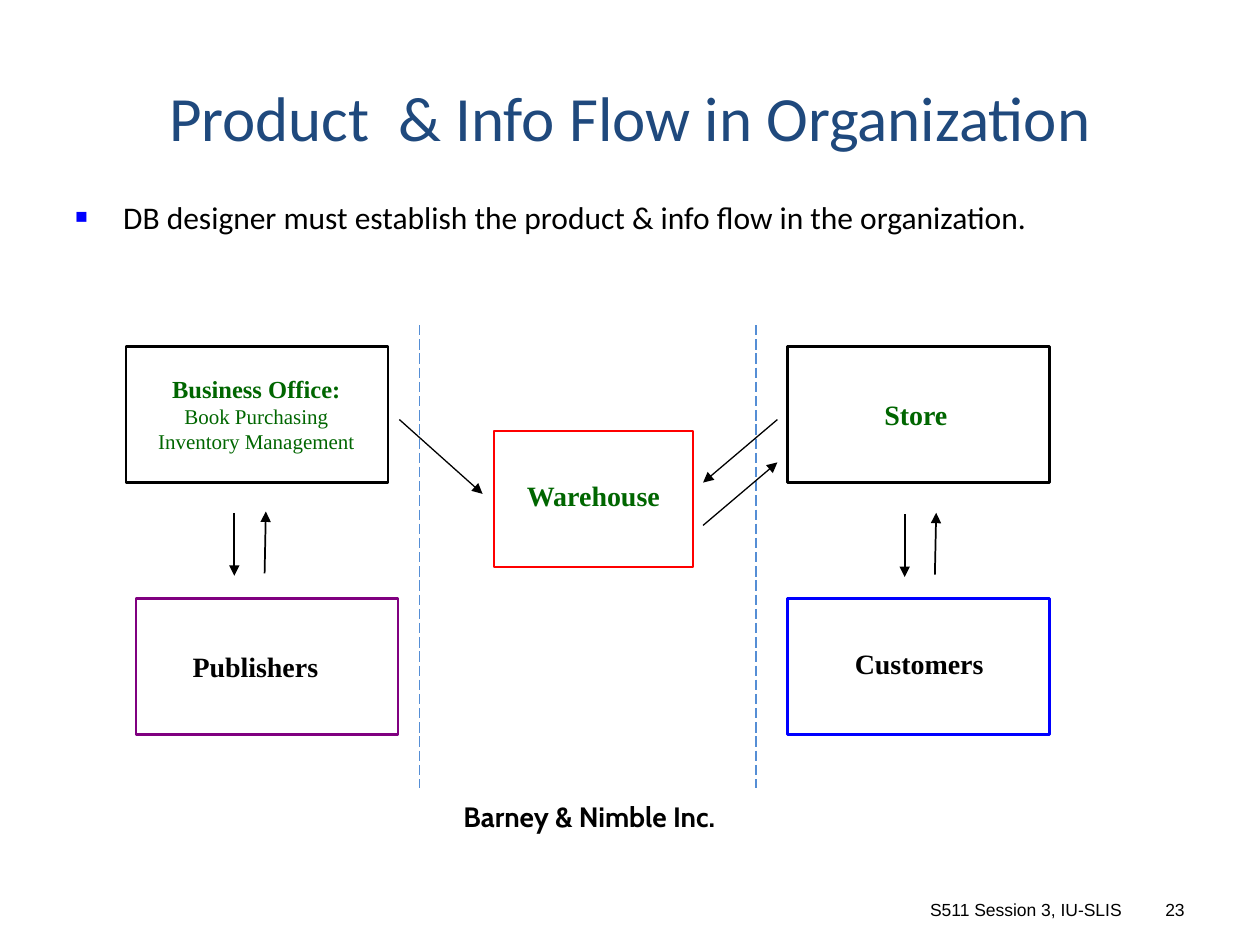
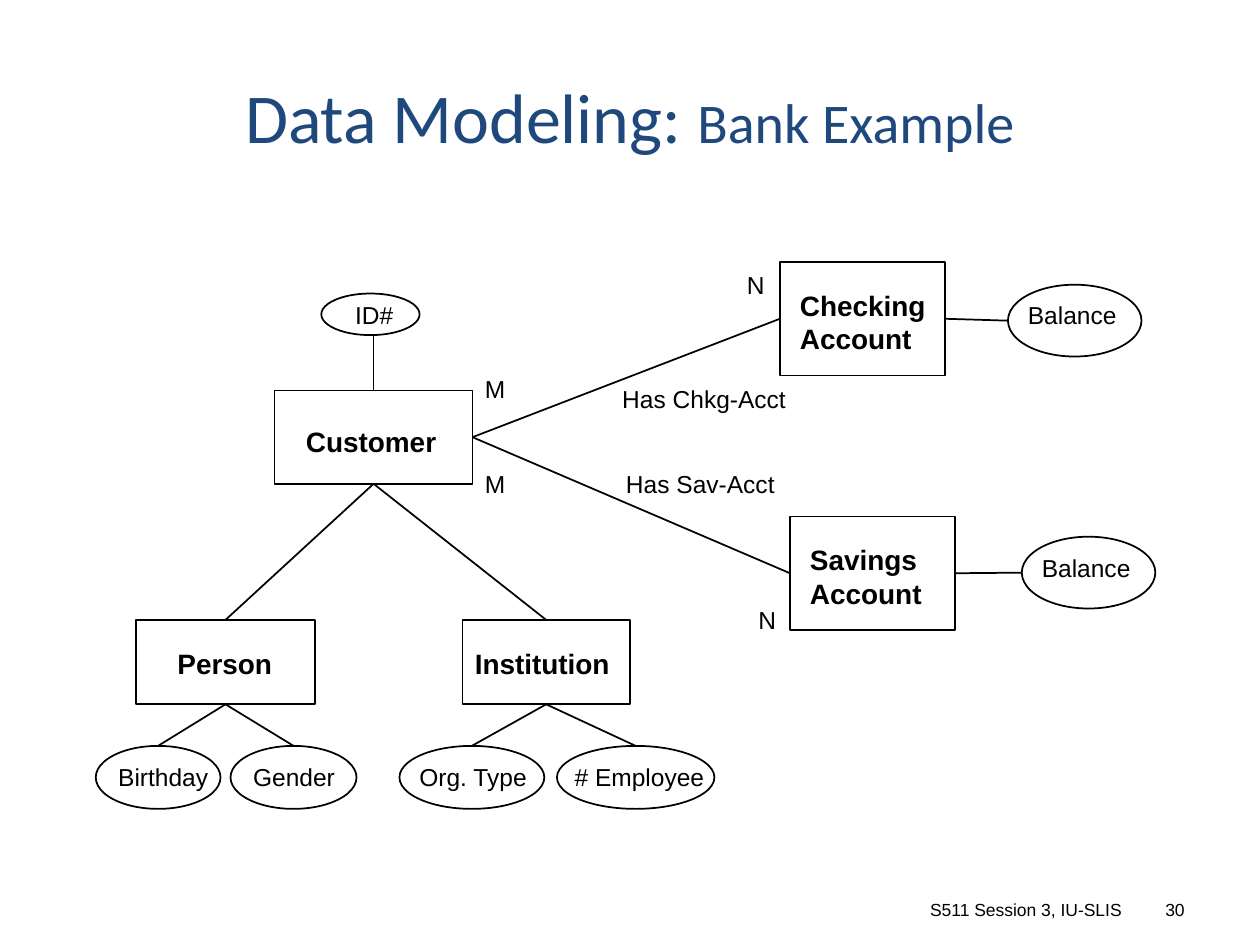
from dataclasses import dataclass
from typing import NamedTuple

from lxml import etree
from pptx import Presentation
from pptx.dml.color import RGBColor
from pptx.enum.dml import MSO_LINE
from pptx.enum.shapes import MSO_CONNECTOR, MSO_SHAPE
from pptx.enum.text import MSO_ANCHOR, MSO_AUTO_SIZE, PP_ALIGN
from pptx.oxml.ns import qn
from pptx.util import Inches, Pt

LEFT, CENTER, RIGHT = PP_ALIGN.LEFT, PP_ALIGN.CENTER, PP_ALIGN.RIGHT
TOP, MIDDLE, BOTTOM = MSO_ANCHOR.TOP, MSO_ANCHOR.MIDDLE, MSO_ANCHOR.BOTTOM
GROW = MSO_AUTO_SIZE.SHAPE_TO_FIT_TEXT
RECTANGLE, OVAL = MSO_SHAPE.RECTANGLE, MSO_SHAPE.OVAL
STRAIGHT, LONG_DASH = MSO_CONNECTOR.STRAIGHT, MSO_LINE.LONG_DASH
TITLE_ONLY = 5

# Connection sites of a rectangle
TOP_SIDE, LEFT_SIDE, BOTTOM_SIDE, RIGHT_SIDE = range(4)


class TextStyle(NamedTuple):
    font: str
    size: float
    color: str
    bold: bool = False


@dataclass(frozen=True)
class Theme:
    black: str = "000000"
    navy: str = "1F497D"
    green: str = "006600"
    blue: str = "0000FF"
    red: str = "FF0000"
    purple: str = "800080"
    divider: str = "558ED5"
    box_line: float = 1.25
    line: float = 1
    thin_line: float = 0.75

    title = TextStyle("Calibri", 36, navy)
    title_large = TextStyle("Calibri", 40, navy)
    subtitle = TextStyle("Calibri", 32, navy)
    body = TextStyle("Calibri", 18, black)
    footer = TextStyle("Arial", 10, black)
    unit = TextStyle("Times New Roman", 16, green, True)
    office = TextStyle("Times New Roman", 14, green, True)
    office_detail = TextStyle("Times New Roman", 12, green)
    partner = TextStyle("Times New Roman", 16, black, True)
    company = TextStyle("Cabin", 16, black, True)
    entity = TextStyle("Arial", 16, black, True)
    attribute = TextStyle("Arial", 14, black)


THEME = Theme()


class Area(NamedTuple):
    left: float
    top: float
    width: float
    height: float


@dataclass(frozen=True)
class Label:
    area: Area
    text: str
    style: TextStyle
    align: PP_ALIGN = LEFT
    wrap: bool = True
    anchor: MSO_ANCHOR = TOP
    detail: tuple[str, ...] = ()
    detail_style: TextStyle | None = None


class Outline(NamedTuple):
    area: Area
    color: str = THEME.black
    width: float = THEME.line
    kind: MSO_SHAPE = RECTANGLE


class Segment(NamedTuple):
    start: tuple[float, float]
    end: tuple[float, float]
    width: float = THEME.line


class Link(NamedTuple):
    source: str
    source_side: int
    target: str
    target_side: int


def color_of(value: str) -> RGBColor:
    return RGBColor.from_string(value)


def set_font(font, style: TextStyle) -> None:
    font.name, font.size, font.bold = style.font, Pt(style.size), style.bold
    font.color.rgb = color_of(style.color)


def add_label(slide, label: Label):
    box = slide.shapes.add_textbox(*map(Inches, label.area))
    frame = box.text_frame
    frame.word_wrap = label.wrap
    if not label.wrap:
        frame.auto_size = GROW
    frame.vertical_anchor = label.anchor
    lines = [(label.text, label.style)]
    lines += [(text, label.detail_style or label.style) for text in label.detail]
    for index, (text, style) in enumerate(lines):
        paragraph = frame.add_paragraph() if index else frame.paragraphs[0]
        paragraph.text = text
        paragraph.alignment = label.align
        set_font(paragraph.font, style)
    return box


def add_outline(slide, outline: Outline):
    shape = slide.shapes.add_shape(outline.kind, *map(Inches, outline.area))
    shape.shadow.inherit = False
    shape.fill.background()
    shape.line.color.rgb = color_of(outline.color)
    shape.line.width = Pt(outline.width)
    return shape


def add_line(slide, start, end, color: str = THEME.black, width: float = THEME.line):
    """Draw a straight line between two points given in EMU."""
    connector = slide.shapes.add_connector(STRAIGHT, *start, *end)
    connector.line.color.rgb = color_of(color)
    connector.line.width = Pt(width)
    etree.SubElement(connector._element.spPr, qn("a:effectLst"))
    return connector


def add_segment(slide, segment: Segment, color: str = THEME.black):
    start, end = (tuple(map(Inches, point)) for point in (segment.start, segment.end))
    return add_line(slide, start, end, color, segment.width)


def add_arrow(slide, segment: Segment) -> None:
    connector = add_segment(slide, segment)
    line = connector.line._get_or_add_ln()
    etree.SubElement(line, qn("a:tailEnd"), type="triangle")


def side_point(shape, side: int) -> tuple[int, int]:
    middle_x = shape.left + shape.width // 2
    middle_y = shape.top + shape.height // 2
    return {
        TOP_SIDE: (middle_x, shape.top),
        LEFT_SIDE: (shape.left, middle_y),
        BOTTOM_SIDE: (middle_x, shape.top + shape.height),
        RIGHT_SIDE: (shape.left + shape.width, middle_y),
    }[side]


def add_link(slide, shapes: dict, link: Link) -> None:
    """Join two shapes; ovals share only their top site number with rectangles."""
    source, target = shapes[link.source], shapes[link.target]
    connector = add_line(slide, side_point(source, link.source_side),
                         side_point(target, link.target_side))
    connector.begin_connect(source, link.source_side)
    if target.auto_shape_type == RECTANGLE or link.target_side == TOP_SIDE:
        connector.end_connect(target, link.target_side)


def add_upright_link(slide, lower, upper) -> None:
    """Rise straight from the top of the lower shape to the foot of the upper one."""
    x, top = side_point(lower, TOP_SIDE)
    connector = add_line(slide, (x, top), (x, upper.top + upper.height))
    connector.begin_connect(lower, TOP_SIDE)


def add_bullet_text(slide, label: Label) -> None:
    paragraph = add_label(slide, label).text_frame.paragraphs[0]
    paragraph.line_spacing = 0.8
    properties = paragraph._p.get_or_add_pPr()
    properties.set("marL", str(Inches(0.38)))
    properties.set("indent", str(-Inches(0.38)))
    bullet_color = etree.Element(qn("a:buClr"))
    etree.SubElement(bullet_color, qn("a:srgbClr"), val=THEME.blue)
    bullet = [bullet_color]
    for tag, name, value in (("a:buSzPct", "val", "65000"),
                             ("a:buFont", "typeface", "Arial"),
                             ("a:buChar", "char", "■")):
        bullet.append(etree.Element(qn(tag), {name: value}))
    position = properties.index(properties.find(qn("a:lnSpc"))) + 1
    properties[position:position] = bullet
    set_font(paragraph.font, label.style)


def add_titled_slide(presentation, title: list[tuple[str, TextStyle]], number: int):
    slide = presentation.slides.add_slide(presentation.slide_layouts[TITLE_ONLY])
    placeholder = slide.shapes.title
    placeholder.left, placeholder.top, placeholder.width, placeholder.height = map(
        Inches, Area(0.5, 0.42, 9, 1))
    frame = placeholder.text_frame
    frame.vertical_anchor = MIDDLE
    paragraph = frame.paragraphs[0]
    paragraph.alignment = CENTER
    for text, style in title:
        run = paragraph.add_run()
        run.text = text
        set_font(run.font, style)
    for area, text in ((Area(6.83, 7.08, 2.17, 0.27), "S511 Session 3, IU-SLIS"),
                       (Area(9.08, 7.08, 0.42, 0.27), str(number))):
        add_label(slide, Label(area, text, THEME.footer, RIGHT, anchor=BOTTOM))
    return slide


def build_flow_slide(presentation) -> None:
    slide = add_titled_slide(
        presentation, [("Product  & Info Flow in Organization", THEME.title)], 23)
    add_bullet_text(slide, Label(
        Area(0.5, 1.58, 9, 0.5),
        "DB designer must establish the product & info flow in the organization.",
        THEME.body))

    for left, top, width, color in (
            (1, 2.75, 2.08, THEME.black), (6.25, 2.75, 2.08, THEME.black),
            (1.08, 4.75, 2.08, THEME.purple), (6.25, 4.75, 2.08, THEME.blue),
            (3.92, 3.42, 1.58, THEME.red)):
        add_outline(slide, Outline(Area(left, top, width, 1.08), color, THEME.box_line))

    for label in (
            Label(Area(0.77, 2.92, 2.53, 0.74), "Business Office:", THEME.office, CENTER,
                  detail=("Book Purchasing", "Inventory Management"),
                  detail_style=THEME.office_detail),
            Label(Area(6.92, 3.11, 0.7, 0.37), "Store", THEME.unit, wrap=False),
            Label(Area(3.91, 3.75, 1.6, 0.37), "Warehouse", THEME.unit, CENTER),
            Label(Area(1.43, 5.11, 1.2, 0.37), "Publishers", THEME.partner, wrap=False),
            Label(Area(6.27, 5.08, 2.05, 0.37), "Customers", THEME.partner, CENTER),
            Label(Area(3.58, 6.3, 2.54, 0.37), "Barney & Nimble Inc.", THEME.company)):
        add_label(slide, label)

    for x in (3.33, 6):
        divider = add_segment(
            slide, Segment((x, 2.58), (x, 6.25), THEME.thin_line), THEME.divider)
        divider.line.dash_style = LONG_DASH
    for start, end in (((3.17, 3.33), (3.83, 3.92)),
                       ((6.17, 3.33), (5.58, 3.83)),
                       ((5.58, 4.17), (6.17, 3.67))):
        add_arrow(slide, Segment(start, end, THEME.thin_line))
    for x, top in ((1.86, 4.07), (7.18, 4.08)):
        add_arrow(slide, Segment((x, top), (x, top + 0.5)))
        add_arrow(slide, Segment((x + 0.24, top + 0.48), (x + 0.25, top - 0.01)))


def build_bank_slide(presentation) -> None:
    slide = add_titled_slide(
        presentation,
        [("Data Modeling: ", THEME.title_large), ("Bank Example", THEME.subtitle)], 30)

    entities = {
        "customer": Area(2.18, 3.1, 1.57, 0.74),
        "person": Area(1.08, 4.92, 1.42, 0.67),
        "institution": Area(3.67, 4.92, 1.33, 0.67),
        "checking": Area(6.19, 2.08, 1.31, 0.9),
        "savings": Area(6.27, 4.1, 1.31, 0.9),
    }
    attributes = {
        "birthday": Area(0.76, 5.92, 0.99, 0.5),
        "gender": Area(1.83, 5.92, 1, 0.5),
        "organization type": Area(3.17, 5.92, 1.15, 0.5),
        "employees": Area(4.42, 5.92, 1.25, 0.5),
        "id": Area(2.55, 2.33, 0.78, 0.33),
        "checking balance": Area(8, 2.26, 1.06, 0.57),
        "savings balance": Area(8.11, 4.26, 1.06, 0.57),
    }
    shapes = {name: add_outline(slide, Outline(area, kind=kind))
              for kind, areas in ((RECTANGLE, entities), (OVAL, attributes))
              for name, area in areas.items()}

    children = (("customer", "person"), ("customer", "institution"),
                ("person", "birthday"), ("person", "gender"),
                ("institution", "organization type"), ("institution", "employees"))
    neighbours = (("customer", "checking"), ("customer", "savings"),
                  ("checking", "checking balance"), ("savings", "savings balance"))
    links = [Link(parent, BOTTOM_SIDE, child, TOP_SIDE) for parent, child in children]
    links += [Link(left, RIGHT_SIDE, right, LEFT_SIDE) for left, right in neighbours]
    for link in links:
        add_link(slide, shapes, link)
    add_upright_link(slide, shapes["customer"], shapes["id"])

    for label in (
            Label(Area(2.33, 3.32, 1.3, 0.36), "Customer", THEME.entity),
            Label(Area(1.31, 5.08, 1.19, 0.36), "Person", THEME.entity),
            Label(Area(3.67, 5.08, 1.36, 0.36), "Institution", THEME.entity),
            Label(Area(6.25, 2.24, 1.25, 0.63), "Checking", THEME.entity,
                  detail=("Account",)),
            Label(Area(6.33, 4.26, 1.18, 0.63), "Savings Account", THEME.entity)):
        add_label(slide, label)

    for left, top, width, text, align in (
            (2.72, 2.33, 0.6, "ID#", LEFT),
            (0.84, 6, 1, "Birthday", LEFT),
            (1.91, 6, 0.95, "Gender", LEFT),
            (3.23, 6, 1.11, "Org. Type", LEFT),
            (4.4, 6, 1.35, "# Employee", CENTER),
            (8.06, 2.33, 1, "Balance", LEFT),
            (8.17, 4.34, 1, "Balance", LEFT),
            (4.84, 3, 1.6, "Has Chkg-Acct", LEFT),
            (4.87, 3.67, 1.5, "Has Sav-Acct", LEFT),
            (5.83, 2.09, 0.25, "N", CENTER),
            (5.92, 4.75, 0.25, "N", CENTER),
            (3.75, 2.92, 0.25, "M", CENTER),
            (3.75, 3.67, 0.25, "M", CENTER)):
        add_label(slide, Label(Area(left, top, width, 0.33), text, THEME.attribute, align))


def main() -> None:
    presentation = Presentation()
    presentation.slide_width, presentation.slide_height = Inches(10), Inches(7.5)
    build_flow_slide(presentation)
    build_bank_slide(presentation)
    presentation.save("out.pptx")


if __name__ == "__main__":
    main()
